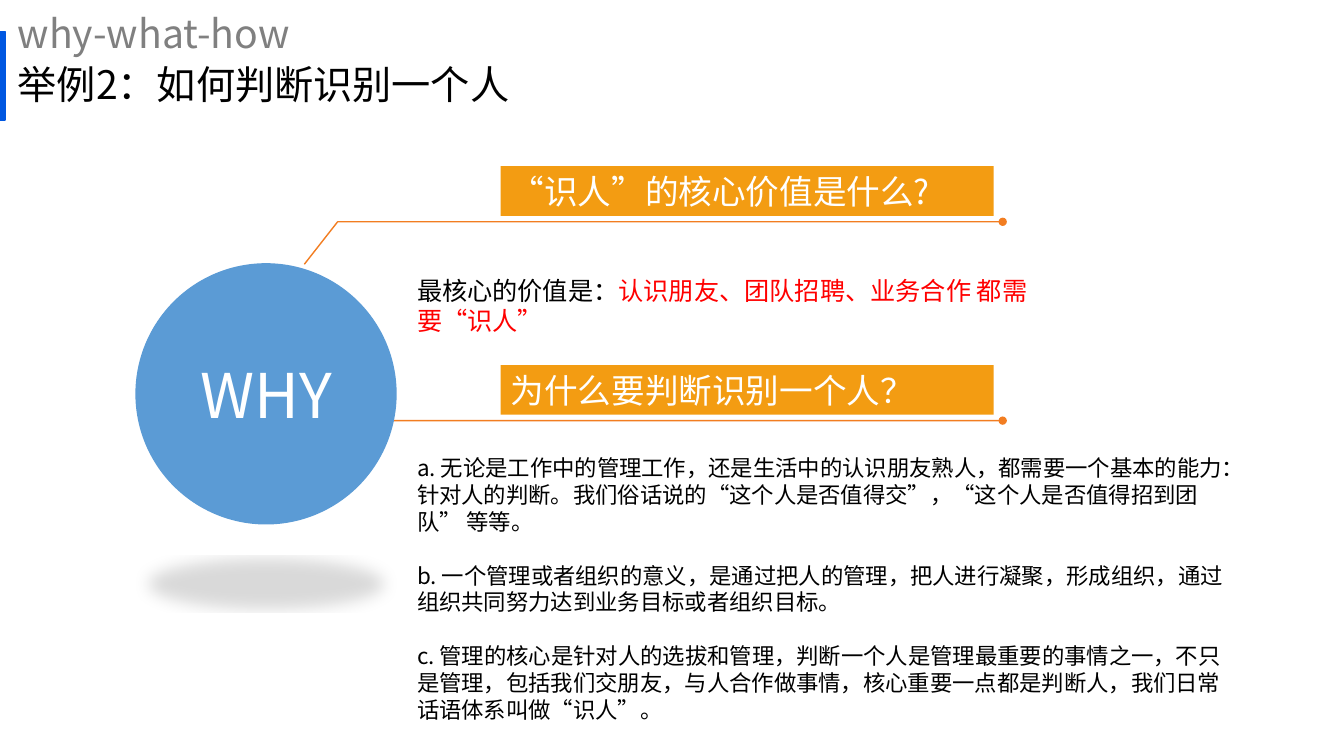
from pptx import Presentation
from pptx import util as u
from pptx.dml.color import RGBColor
from pptx.enum import shapes, text
from pptx.oxml import parse_xml
from pptx.oxml.ns import nsdecls, qn

FONT = "Noto Sans CJK SC"
BLACK = RGBColor(0, 0, 0)
WHITE = RGBColor(0xFF, 0xFF, 0xFF)
GREY = RGBColor(0x80, 0x80, 0x80)
RED = RGBColor(0xFF, 0, 0)
NAVY = RGBColor(0x00, 0x57, 0xE1)
BLUE = RGBColor(0x5B, 0x9B, 0xD5)
AMBER = RGBColor(0xF3, 0x9C, 0x12)
ORANGE = RGBColor(0xF2, 0x7D, 0x21)

REASONS = [
    "a. 无论是工作中的管理工作，还是生活中的认识朋友熟人，都需要一个基本的能力：针对人的判断。"
    "我们俗话说的“这个人是否值得交”，“这个人是否值得招到团队” 等等。",
    "b. 一个管理或者组织的意义，是通过把人的管理，把人进行凝聚，形成组织，"
    "通过组织共同努力达到业务目标或者组织目标。",
    "c. 管理的核心是针对人的选拔和管理，判断一个人是管理最重要的事情之一，不只是管理，"
    "包括我们交朋友，与人合作做事情，核心重要一点都是判断人，我们日常话语体系叫做“识人”。",
]


def write(frame, paragraphs, size, color=BLACK, align=text.PP_ALIGN.LEFT,
          anchor=text.MSO_ANCHOR.TOP, wrap=True, spacing=None, gap=0):
    """Fill a text frame with paragraphs, each a list of (words, colour or None)."""
    frame.word_wrap = wrap
    frame.vertical_anchor = anchor
    for index, runs in enumerate(paragraphs):
        para = frame.add_paragraph() if index else frame.paragraphs[0]
        para.alignment = align
        para.line_spacing = spacing
        if index:
            para.space_before = u.Pt(gap)
        for words, own_color in runs:
            span = para.add_run()
            span.text = words
            span.font.size = u.Pt(size)
            span.font.name = FONT
            span.font.color.rgb = own_color or color
            latin = span.font._element.find(qn("a:latin"))
            latin.addnext(parse_xml(f'<a:ea {nsdecls("a")} typeface="{FONT}"/>'))


def add_text(page, left, top, width, height, paragraphs, size, **style):
    """Add a text box measured in centimetres."""
    box = page.shapes.add_textbox(u.Cm(left), u.Cm(top), u.Cm(width), u.Cm(height))
    write(box.text_frame, paragraphs, size, **style)


def add_block(page, kind, left, top, width, height, fill, outlined=False):
    """Add a filled preset shape measured in centimetres."""
    block = page.shapes.add_shape(kind, u.Cm(left), u.Cm(top), u.Cm(width), u.Cm(height))
    block.shadow.inherit = False
    block.fill.solid()
    block.fill.fore_color.rgb = fill
    if outlined:
        block.line.color.rgb = fill
        block.line.width = u.Pt(1)
    else:
        block.line.fill.background()
    return block


def add_header(page, left, top):
    """Place the accent bar, the topic line and the title."""
    add_block(page, shapes.MSO_SHAPE.RECTANGLE, left, top + 0.74, 0.13, 2.24, NAVY, True)
    for offset, words, color in ((0, "why-what-how", GREY),
                                 (1.3, "举例2：如何判断识别一个人", BLACK)):
        add_text(page, left + 0.2, top + offset, 29.21, 1.68, [[(words, color)]], 28,
                 anchor=text.MSO_ANCHOR.MIDDLE, spacing=0.9)


def add_question(page, left, top, width, height, question):
    """Place a question banner and the leader line that runs below it."""
    bend, level = left - 4.11, top + 1.4
    builder = page.shapes.build_freeform(u.Cm(bend - 0.84), u.Cm(level + 1.07))
    builder.add_line_segments([(u.Cm(bend), u.Cm(level)),
                               (u.Cm(left + width + 0.23), u.Cm(level))], close=False)
    leader = builder.convert_to_shape()
    leader.shadow.inherit = False
    leader.fill.background()
    leader.line.color.rgb = ORANGE
    leader.line.width = u.Pt(1)
    leader.line._get_or_add_ln().append(
        parse_xml(f'<a:tailEnd {nsdecls("a")} type="oval"/>'))
    banner = add_block(page, shapes.MSO_SHAPE.RECTANGLE, left, top, width, height, AMBER)
    write(banner.text_frame, [[(question, None)]], 24, color=WHITE,
          anchor=text.MSO_ANCHOR.MIDDLE, wrap=False)


def add_why_circle(page, left, top, size):
    """Place the WHY circle with its flattened shadow underneath."""
    circle = add_block(page, shapes.MSO_SHAPE.OVAL, left, top, size, size, BLUE, True)
    circle._element.spPr.find(qn("a:effectLst")).append(parse_xml(
        f'<a:outerShdw {nsdecls("a")} blurRad="152400" dist="317500" dir="5400000" '
        'sx="90000" sy="-19000" rotWithShape="0"><a:srgbClr val="000000">'
        '<a:alpha val="15000"/></a:srgbClr></a:outerShdw>'))
    write(circle.text_frame, [[("WHY", None)]], 44, color=WHITE,
          align=text.PP_ALIGN.CENTER, anchor=text.MSO_ANCHOR.MIDDLE)


def main():
    """Build the slide and save the deck."""
    deck = Presentation()
    deck.slide_width, deck.slide_height = u.Cm(33.87), u.Cm(19.05)
    page = deck.slides.add_slide(deck.slide_layouts[6])
    add_header(page, 0, 0.05)
    for top, question in ((4.19, "“识人”的核心价值是什么?"),
                          (9.2, "为什么要判断识别一个人？")):
        add_question(page, 12.62, top, 12.42, 1.25, question)
    add_why_circle(page, 3.43, 6.65, 6.55)
    add_text(page, 10.26, 6.81, 15.95, 1.8,
             [[("最核心的价值是：", None),
               ("认识朋友、团队招聘、业务合作 都需要“识人”", RED)]], 18)
    add_text(page, 10.26, 11.33, 20.88, 7.09,
             [[(reason, None)] for reason in REASONS], 16, gap=19)
    deck.save("out.pptx")


if __name__ == "__main__":
    main()
